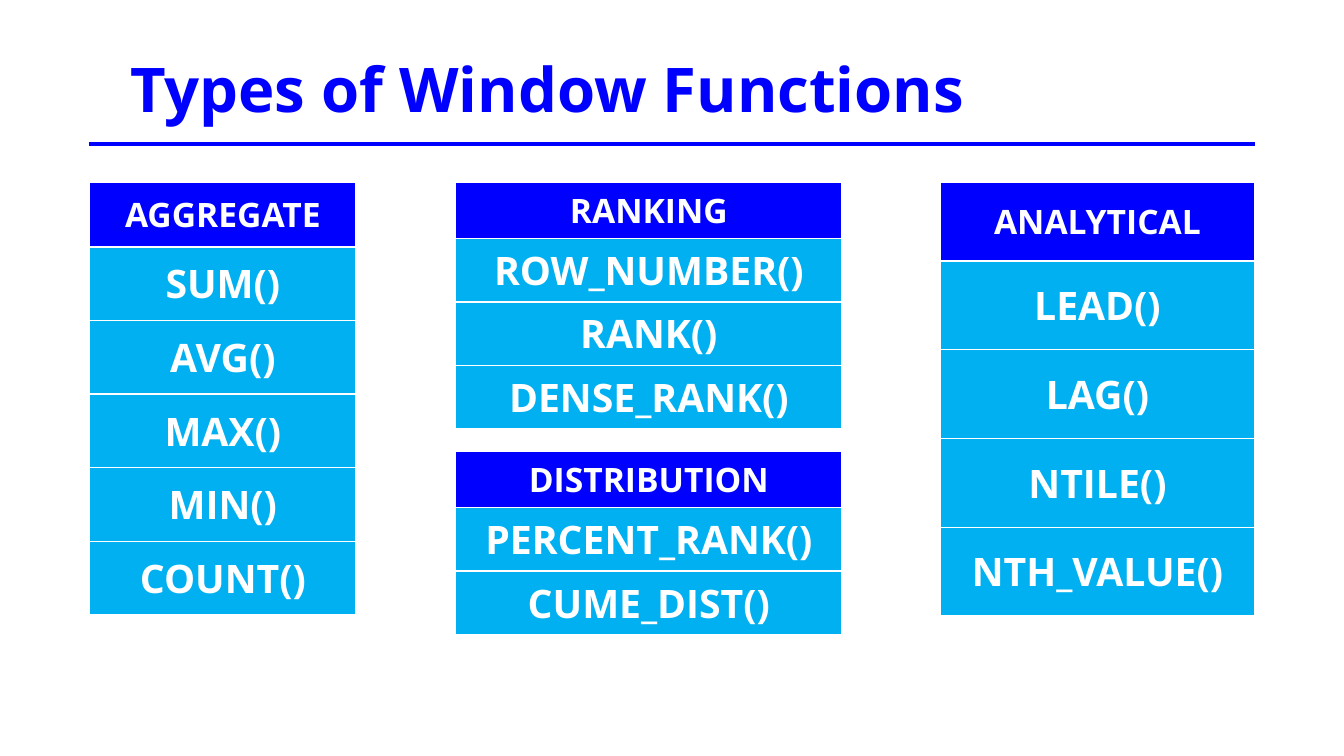
"""Build the slide that lists the types of SQL window functions."""
import pptx
import pptx.dml.color
import pptx.enum.shapes
import pptx.enum.text
import pptx.oxml
import pptx.oxml.ns
import pptx.util

Inches, Pt = pptx.util.Inches, pptx.util.Pt
ALIGN, ANCHOR = pptx.enum.text.PP_ALIGN, pptx.enum.text.MSO_ANCHOR

FONT, BLUE, CYAN, WHITE = "Open Sans", "0000FF", "00B0F0", "FFFFFF"
TITLE = "Types of Window Functions"
GROUPS = [
    {"head": "AGGREGATE", "at": (0.89, 1.81), "width": 2.64, "heights": (0.64, 0.73),
     "functions": ["SUM()", "AVG()", "MAX()", "MIN()", "COUNT()"]},
    {"head": "RANKING", "at": (4.52, 1.81), "width": 3.83, "heights": (0.55, 0.63),
     "functions": ["ROW_NUMBER()", "RANK()", "DENSE_RANK()"]},
    {"head": "DISTRIBUTION", "at": (4.52, 4.48), "width": 3.83, "heights": (0.55, 0.63),
     "functions": ["PERCENT_RANK()", "CUME_DIST()"]},
    {"head": "ANALYTICAL", "at": (9.33, 1.81), "width": 3.11, "heights": (0.78, 0.88),
     "functions": ["LEAD()", "LAG()", "NTILE()", "NTH_VALUE()"]},
]


def rgb(value):
    return pptx.dml.color.RGBColor.from_string(value)


def fill(shape, color):
    shape.fill.solid()
    shape.fill.fore_color.rgb = rgb(color)


def write(tf, text, size, color, align):
    p = tf.paragraphs[0]
    p.alignment = align
    r = p.add_run()
    r.text = text
    r.font.name, r.font.size, r.font.bold = FONT, Pt(size), True
    r.font.color.rgb = rgb(color)


def add_borders(cell, color, points):
    tcPr = cell._tc.get_or_add_tcPr()
    for i, side in enumerate(("lnL", "lnR", "lnT", "lnB")):
        tcPr.insert(i, pptx.oxml.parse_xml(
            f'<a:{side} {pptx.oxml.ns.nsdecls("a")} w="{Pt(points)}"><a:solidFill>'
            f'<a:srgbClr val="{color}"/></a:solidFill></a:{side}>'))


def add_group(s, group):
    labels = [group["head"]] + group["functions"]
    head_height, row_height = group["heights"]
    heights = [head_height] + [row_height] * len(group["functions"])
    left, top = group["at"]
    table = s.shapes.add_table(len(labels), 1, Inches(left), Inches(top),
                               Inches(group["width"]), Inches(sum(heights))).table
    table.horz_banding = False
    for i, (label, height) in enumerate(zip(labels, heights)):
        table.rows[i].height = Inches(height)
        cell = table.cell(i, 0)
        cell.vertical_anchor = ANCHOR.MIDDLE
        fill(cell, CYAN if i else BLUE)
        add_borders(cell, WHITE, 1)
        write(cell.text_frame, label, 28 if i else 24, WHITE, ALIGN.CENTER)


prs = pptx.Presentation()
prs.slide_width, prs.slide_height = Inches(13.33), Inches(7.5)
s = prs.slides.add_slide(prs.slide_layouts[5])

title = s.shapes.title
title.left, title.top = Inches(1.19), Inches(0.51)
title.width, title.height = Inches(10.89), Inches(0.77)
fill(title, WHITE)
tf = title.text_frame
tf.auto_size = pptx.enum.text.MSO_AUTO_SIZE.NONE
tf.vertical_anchor = ANCHOR.TOP
tf.margin_top = tf.margin_bottom = 0
write(tf, TITLE, 44, BLUE, ALIGN.LEFT)

rule = s.shapes.add_connector(pptx.enum.shapes.MSO_CONNECTOR.STRAIGHT,
                              Inches(0.88), Inches(1.43), Inches(12.45), Inches(1.43))
rule.line.color.rgb = rgb(BLUE)
rule.line.width = Pt(3)
rule._element.spPr.append(pptx.oxml.parse_xml(f'<a:effectLst {pptx.oxml.ns.nsdecls("a")}/>'))

for group in GROUPS:
    add_group(s, group)

prs.save("out.pptx")
